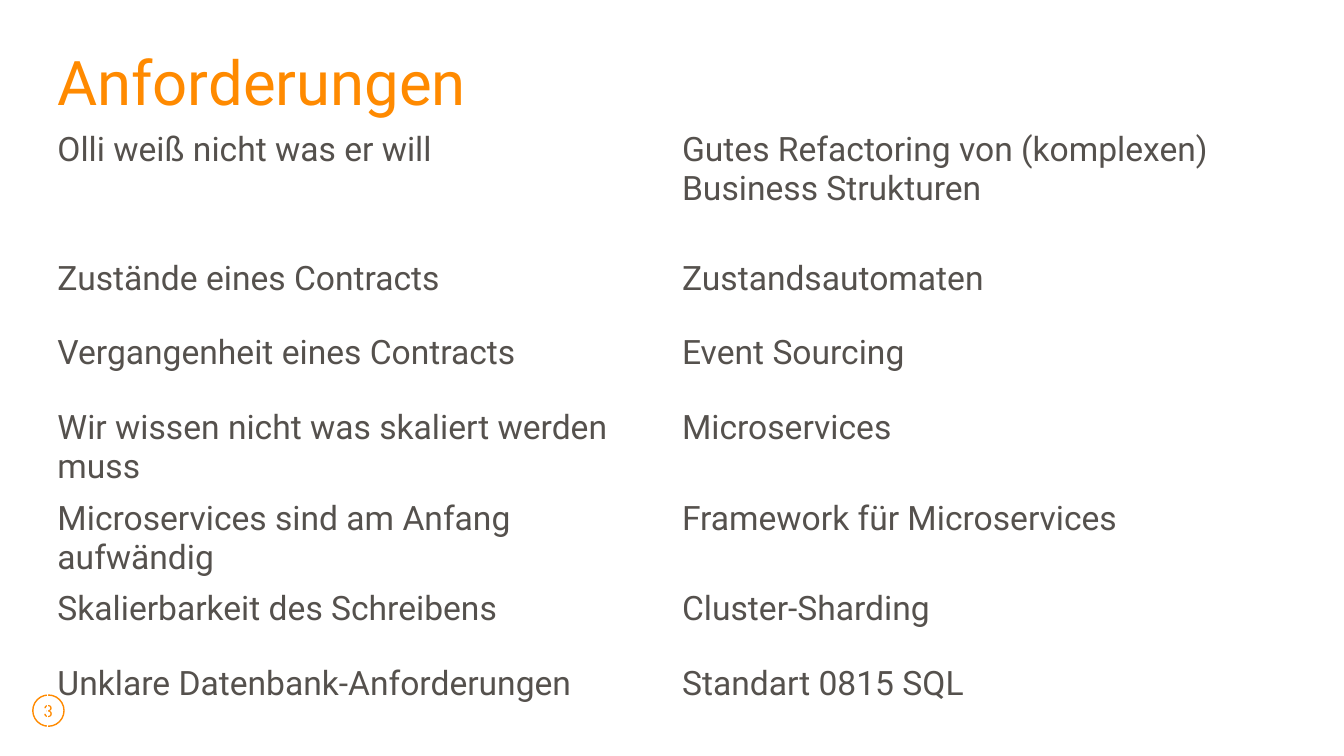
from pptx import Presentation
from pptx.dml.color import RGBColor
from pptx.enum.shapes import MSO_SHAPE
from pptx.enum.text import MSO_ANCHOR, PP_ALIGN
from pptx.util import Inches, Pt

ELLIPSE = MSO_SHAPE.OVAL
MIDDLE = MSO_ANCHOR.MIDDLE
LEFT, CENTER = PP_ALIGN.LEFT, PP_ALIGN.CENTER

FONT = "Roboto"
COLORS = {"accent": "FF8A00", "text": "55514D"}
BLANK_LAYOUT = 6

REQUIREMENTS = [
    ("Olli weiß nicht was er will",
     "Gutes Refactoring von (komplexen) Business Strukturen"),
    ("Zustände eines Contracts", "Zustandsautomaten"),
    ("Vergangenheit eines Contracts", "Event Sourcing"),
    ("Wir wissen nicht was skaliert werden muss", "Microservices"),
    ("Microservices sind am Anfang aufwändig", "Framework für Microservices"),
    ("Skalierbarkeit des Schreibens", "Cluster-Sharding"),
    ("Unklare Datenbank-Anforderungen", "Standart 0815 SQL"),
]
FIRST_ROW_HEIGHT, ROW_HEIGHT = 1.28, 0.74


def color(name):
    return RGBColor.from_string(COLORS[name])


def write(frame, text, size, color_name, align=LEFT):
    """Fill a text frame or table cell frame with one styled paragraph."""
    frame.text = text
    paragraph = frame.paragraphs[0]
    paragraph.alignment = align
    font = paragraph.runs[0].font
    font.name, font.size = FONT, Pt(size)
    font.color.rgb = color(color_name)
    return paragraph


def add_label(slide, text, left, top, width, height, size, align=LEFT):
    """Place accent-coloured text, centred vertically in its box."""
    label = slide.shapes.add_textbox(
        Inches(left), Inches(top), Inches(width), Inches(height))
    frame = label.text_frame
    frame.word_wrap = True
    frame.vertical_anchor = MIDDLE
    return write(frame, text, size, "accent", align)


def add_title(slide, text, left, top, width, height):
    add_label(slide, text, left, top, width, height, 44).line_spacing = 0.9


def add_page_number(slide, number, left, top, width, height):
    diameter = 0.31
    ring = slide.shapes.add_shape(
        ELLIPSE,
        Inches(left + (width - diameter) / 2),
        Inches(top + (height - diameter) / 2),
        Inches(diameter), Inches(diameter))
    ring.shadow.inherit = False
    ring.fill.background()
    ring.line.color.rgb = color("accent")
    ring.line.width = Pt(1)
    add_label(slide, number, left, top, width, height, 12, CENTER)


def add_requirements(slide, left, top, width):
    """Pair each requirement with its solution in an unstyled table."""
    height = FIRST_ROW_HEIGHT + ROW_HEIGHT * (len(REQUIREMENTS) - 1)
    table = slide.shapes.add_table(
        len(REQUIREMENTS), 2, Inches(left), Inches(top),
        Inches(width), Inches(height)).table
    table.first_row = False
    table.horz_banding = False
    for column in table.columns:
        column.width = Inches(width / 2)
    for index, pair in enumerate(REQUIREMENTS):
        table.rows[index].height = Inches(ROW_HEIGHT if index else FIRST_ROW_HEIGHT)
        for cell, text in zip(table.rows[index].cells, pair):
            cell.fill.background()
            write(cell.text_frame, text, 24, "text")


def main():
    deck = Presentation()
    deck.slide_width, deck.slide_height = Inches(13.33), Inches(7.5)
    slide = deck.slides.add_slide(deck.slide_layouts[BLANK_LAYOUT])
    add_title(slide, "Anforderungen", 0.47, 0.4, 12.39, 0.9)
    add_page_number(slide, "3", 0.27, 6.85, 0.42, 0.4)
    add_requirements(slide, 0.47, 1.24, 12.39)
    deck.save("out.pptx")


if __name__ == "__main__":
    main()
